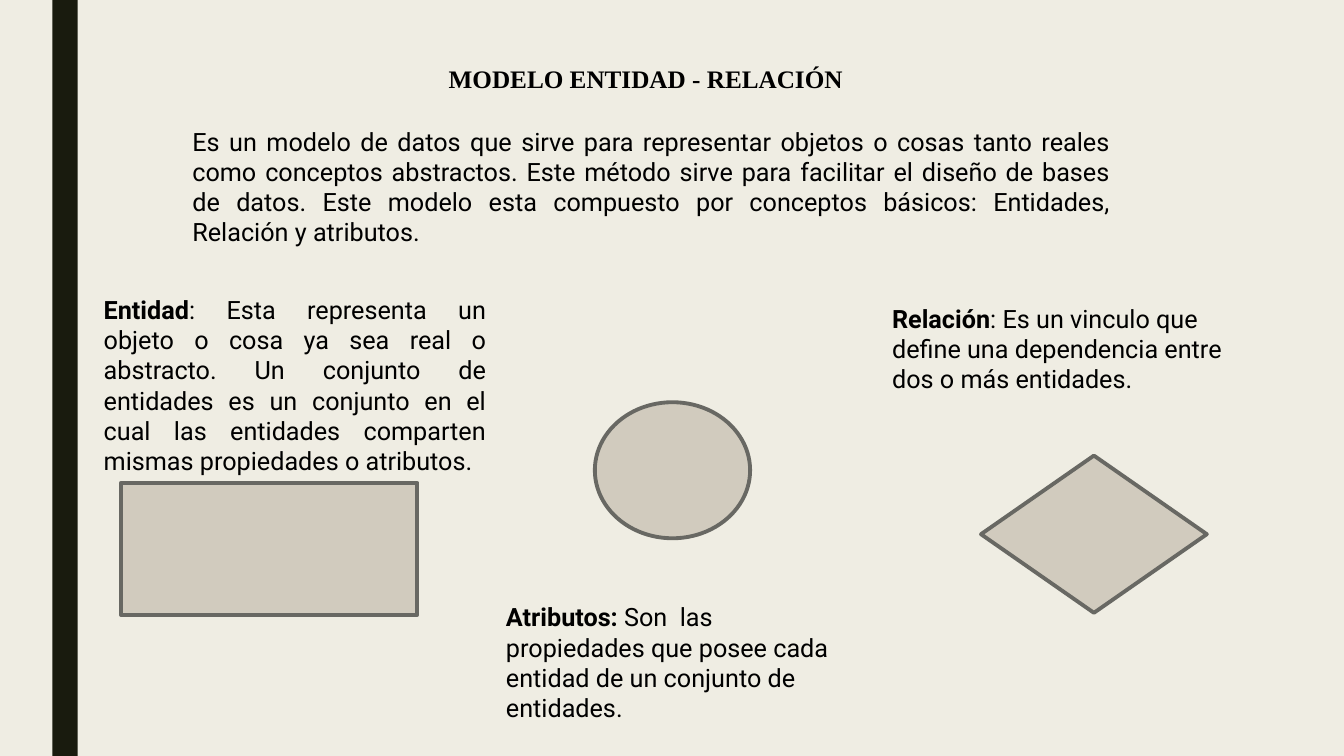
from dataclasses import dataclass
from pptx import Presentation
from pptx.dml.color import RGBColor
from pptx.enum.shapes import MSO_SHAPE
from pptx.enum.text import MSO_ANCHOR, MSO_AUTO_SIZE, PP_ALIGN
from pptx.util import Inches, Pt


@dataclass(frozen=True)
class Theme:
    """Colours, fonts and sizes of the slide."""
    back: RGBColor = RGBColor.from_string("EFEDE3")
    bar: RGBColor = RGBColor.from_string("191B0E")
    fill: RGBColor = RGBColor.from_string("D1CBBE")
    line: RGBColor = RGBColor.from_string("686863")
    ink: RGBColor = RGBColor.from_string("000000")
    head: str = "Times New Roman"
    body: str = "Roboto"
    size: Pt = Pt(18)
    edge: Pt = Pt(2.75)


THEME = Theme()


def place(shape, box):
    """Move and size a shape to a box in inches."""
    shape.left, shape.top, shape.width, shape.height = map(Inches, box)


def style(frame, face, align):
    """Set the layout of a text frame and return its styled paragraph."""
    frame.word_wrap = True
    frame.auto_size = MSO_AUTO_SIZE.NONE
    frame.vertical_anchor = MSO_ANCHOR.TOP
    para = frame.paragraphs[0]
    para.alignment = align
    para.font.name = face
    para.font.size = THEME.size
    para.font.color.rgb = THEME.ink
    return para


def add_title(slide, text, box):
    """Fill the title placeholder."""
    title = slide.shapes.title
    place(title, box)
    title.text_frame.text = text
    para = style(title.text_frame, THEME.head, PP_ALIGN.LEFT)
    para.font.bold = True


def add_text(slide, term, text, box, align=PP_ALIGN.LEFT):
    """Add a text box that opens with an optional bold term."""
    frame = slide.shapes.add_textbox(*map(Inches, box)).text_frame
    para = style(frame, THEME.body, align)
    if term:
        run = para.add_run()
        run.text = term
        run.font.bold = True
    para.add_run().text = text


def add_form(slide, kind, box, fill, line=None):
    """Add a filled preset shape with an optional outline."""
    form = slide.shapes.add_shape(kind, *map(Inches, box))
    form.shadow.inherit = False
    form.fill.solid()
    form.fill.fore_color.rgb = fill
    if line is None:
        form.line.fill.background()
    else:
        form.line.color.rgb = line
        form.line.width = THEME.edge


def main():
    """Build and save the slide."""
    deck = Presentation()
    deck.slide_width, deck.slide_height = Inches(13.33), Inches(7.5)
    slide = deck.slides.add_slide(deck.slide_layouts[5])
    slide.background.fill.solid()
    slide.background.fill.fore_color.rgb = THEME.back

    add_form(slide, MSO_SHAPE.RECTANGLE, (0.52, 0, 0.25, 7.5), THEME.bar)
    add_title(slide, "MODELO ENTIDAD - RELACIÓN", (4.35, 0.58, 4.21, 0.4))

    texts = [
        ("", "Es un modelo de datos que sirve para representar objetos o cosas "
         "tanto reales como conceptos abstractos. Este método sirve para "
         "facilitar el diseño de bases de datos. Este modelo esta compuesto "
         "por conceptos básicos: Entidades, Relación y atributos.",
         (1.81, 1.2, 9.3, 1.01), PP_ALIGN.JUSTIFY),
        ("Entidad", ": Esta representa un objeto o cosa ya sea real o "
         "abstracto. Un conjunto de entidades es un conjunto en el cual las "
         "entidades comparten mismas propiedades o atributos.",
         (0.93, 2.87, 3.99, 1.92), PP_ALIGN.JUSTIFY),
        ("Relación", ": Es un vinculo que define una dependencia entre dos o "
         "más entidades.", (8.75, 2.96, 3.87, 1.01), PP_ALIGN.LEFT),
        ("Atributos:", " Son  las propiedades que posee cada entidad de un "
         "conjunto de entidades.", (4.92, 5.92, 3.66, 1.01), PP_ALIGN.LEFT),
    ]
    for term, text, box, align in texts:
        add_text(slide, term, text, box, align)

    forms = [
        (MSO_SHAPE.FLOWCHART_PROCESS, (1.2, 4.79, 2.94, 1.31)),
        (MSO_SHAPE.OVAL, (5.9, 3.99, 1.54, 1.35)),
        (MSO_SHAPE.DIAMOND, (9.73, 4.52, 2.24, 1.56)),
    ]
    for kind, box in forms:
        add_form(slide, kind, box, THEME.fill, THEME.line)

    deck.save("out.pptx")


main()
